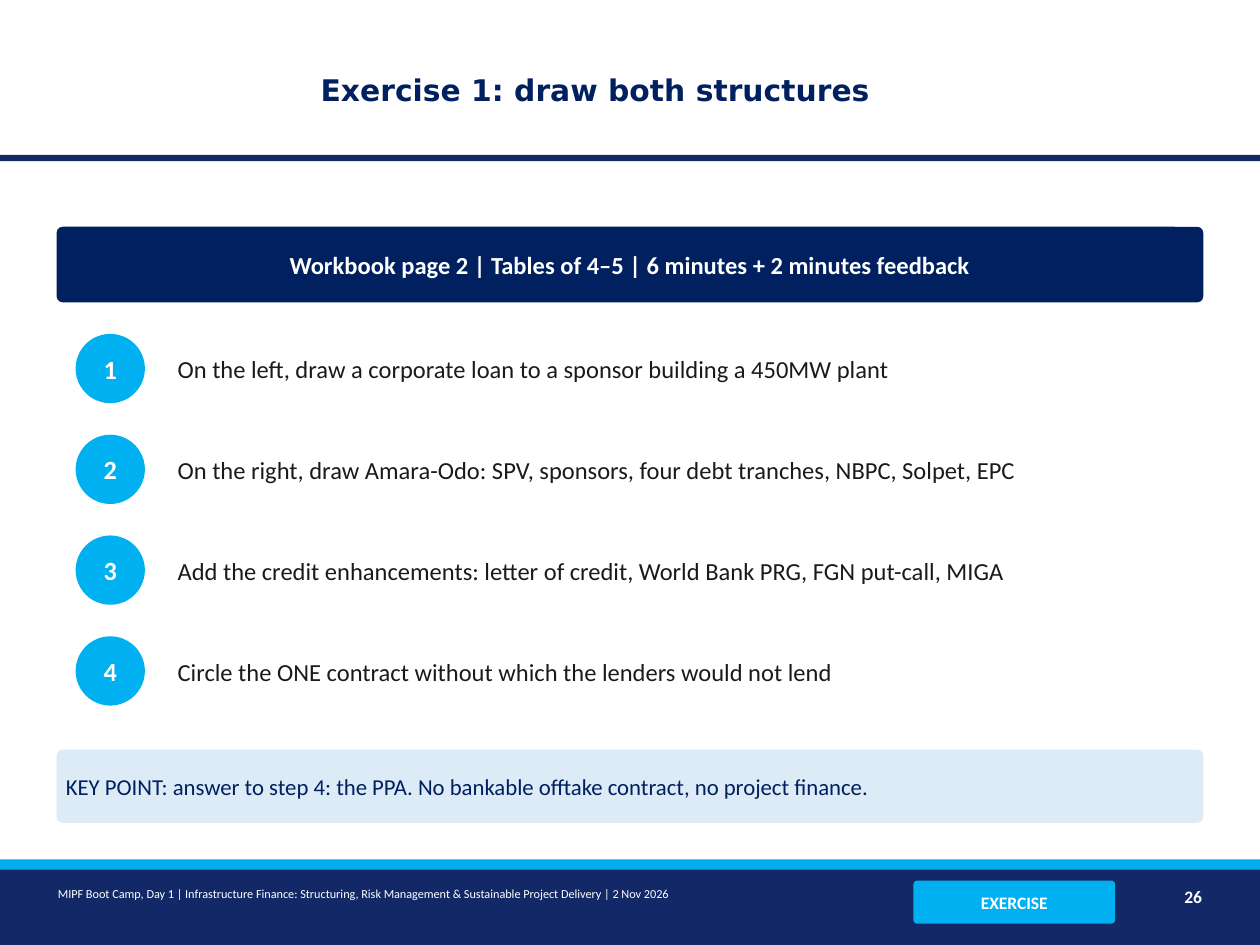
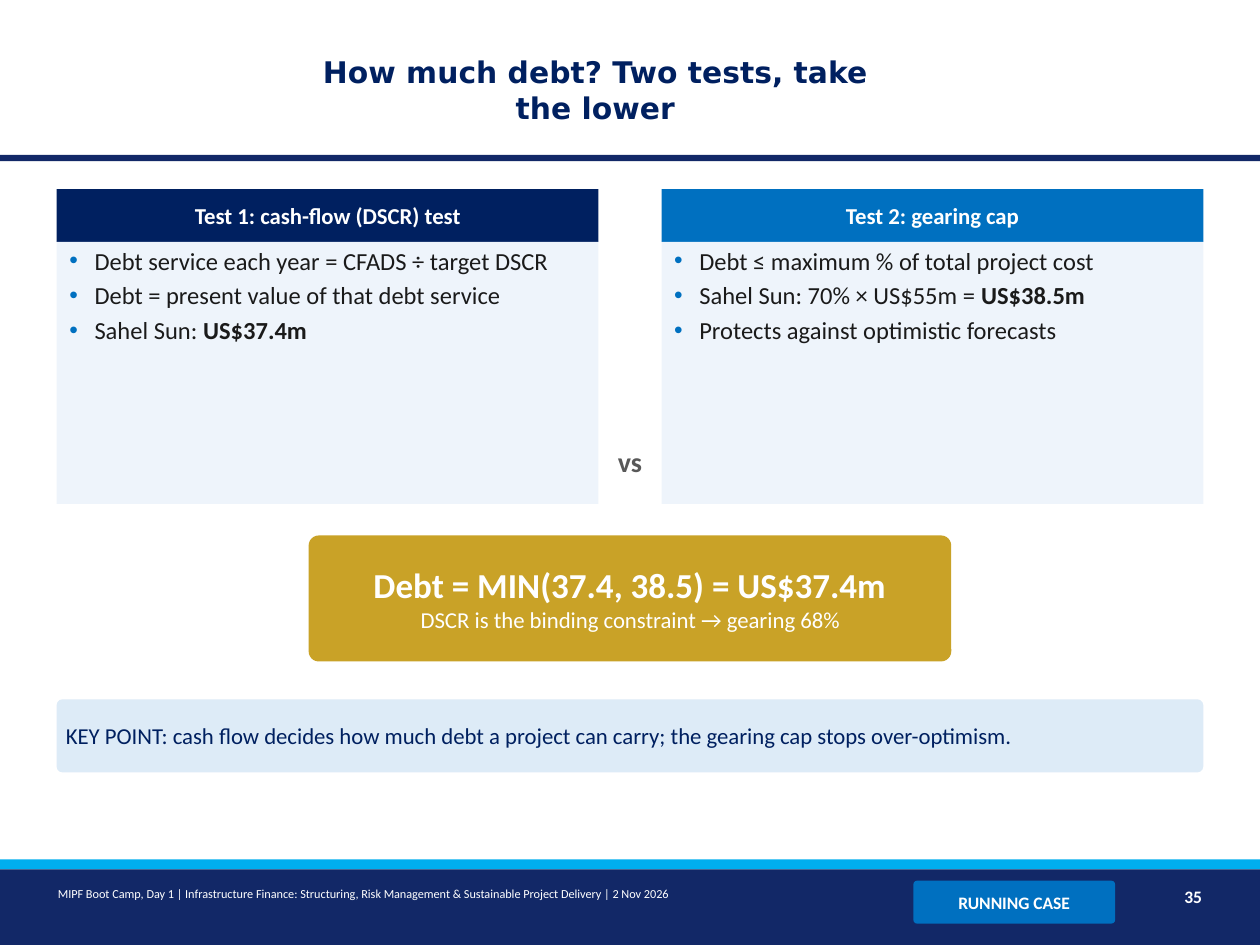
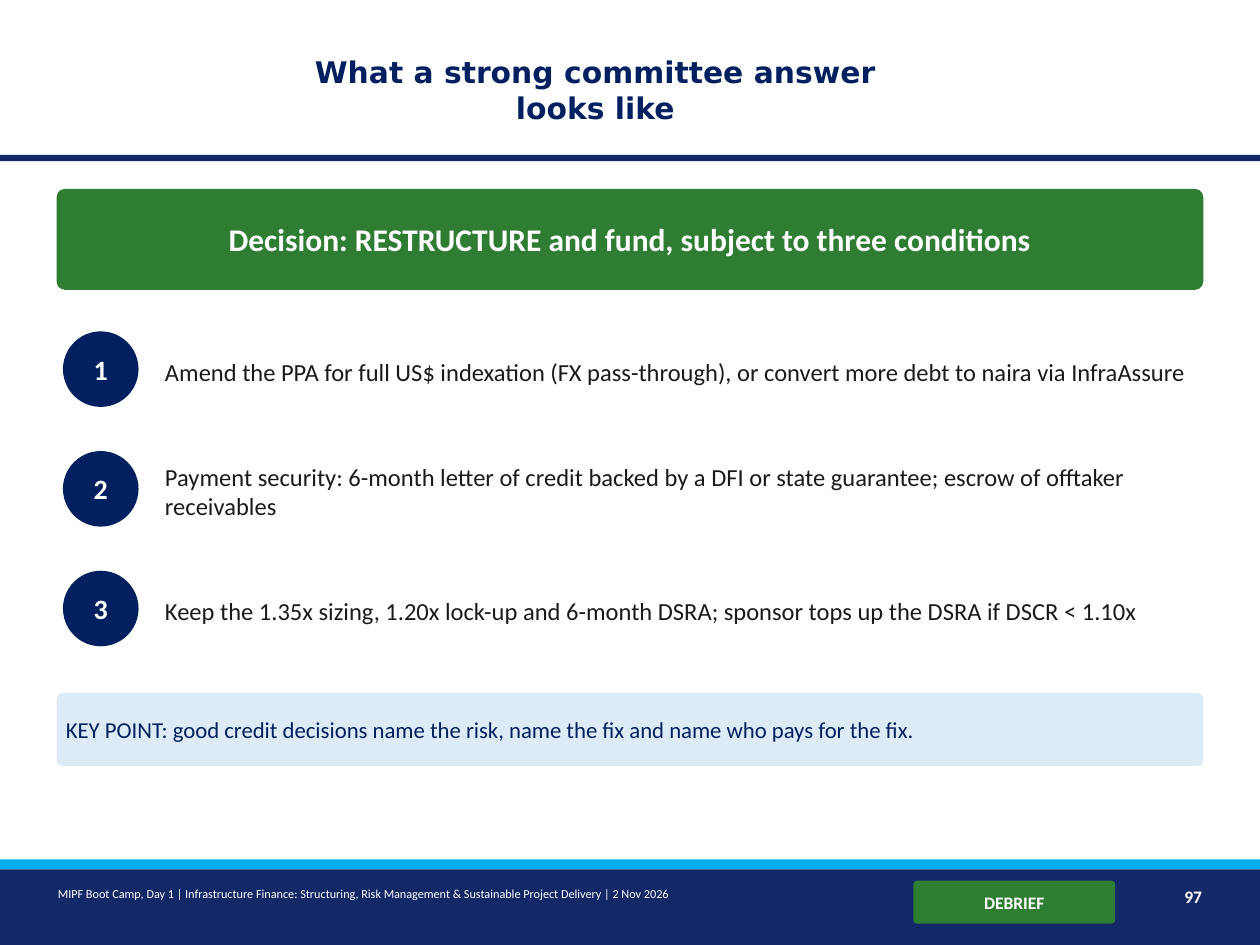
from pptx import Presentation
from pptx.dml.color import RGBColor
from pptx.enum.shapes import MSO_SHAPE
from pptx.enum.text import MSO_ANCHOR, MSO_AUTO_SIZE, PP_ALIGN
from pptx.oxml.ns import qn
from pptx.util import Pt
from lxml import etree

RECT, ROUND, OVAL = MSO_SHAPE.RECTANGLE, MSO_SHAPE.ROUNDED_RECTANGLE, MSO_SHAPE.OVAL
TOP, MIDDLE = MSO_ANCHOR.TOP, MSO_ANCHOR.MIDDLE
LEFT, CENTER, RIGHT = PP_ALIGN.LEFT, PP_ALIGN.CENTER, PP_ALIGN.RIGHT
NO_FIT = MSO_AUTO_SIZE.NONE

NAVY, BAND, CYAN, SKY, BLUE = "002060", "122867", "00AEEF", "00B0F0", "0070C0"
GREEN, GOLD, PALE, PANEL = "2E7D32", "C9A227", "DDEBF7", "EEF4FB"
WHITE, INK, GREY = "FFFFFF", "1A1A1A", "595959"

TITLE_ONLY, COMPARISON = 5, 4
WIDTH, HEIGHT = 720, 540
MARGIN = 32.4
CONTENT_WIDTH = WIDTH - 2 * MARGIN
SEPARATOR = " | "  # en spaces on both sides
FOOTER = SEPARATOR.join((
    "MIPF Boot Camp, Day 1",
    "Infrastructure Finance: Structuring, Risk Management & Sustainable Project Delivery",
    "2 Nov 2026",
))


def rgb(colour):
    return RGBColor.from_string(colour)


def place(sp, left, top, width, height):
    sp.left, sp.top, sp.width, sp.height = map(Pt, (left, top, width, height))


def fill(sp, colour):
    sp.fill.solid()
    sp.fill.fore_color.rgb = rgb(colour)
    sp.line.fill.background()


def add_bullet(p, colour):
    pPr = p._p.get_or_add_pPr()
    pPr.set("marL", str(Pt(17.28)))
    pPr.set("indent", str(-Pt(14.4)))
    clr = etree.SubElement(pPr, qn("a:buClr"))
    etree.SubElement(clr, qn("a:srgbClr")).set("val", colour)
    etree.SubElement(pPr, qn("a:buChar")).set("char", "•")


def write(tf, text, *, size, colour=WHITE, bold=False, font="Calibri", align=CENTER,
          anchor=MIDDLE, bullet=None, after=0, inset=(4.32, 2.16)):
    """Add one paragraph; a (plain, strong) pair ends in bold."""
    tf.word_wrap, tf.auto_size, tf.vertical_anchor = True, NO_FIT, anchor
    tf.margin_left = tf.margin_right = Pt(inset[0])
    tf.margin_top = tf.margin_bottom = Pt(inset[1])
    p = tf.add_paragraph() if tf.text else tf.paragraphs[0]
    if bullet:
        add_bullet(p, bullet)
    p.alignment, p.space_before, p.space_after = align, Pt(0), Pt(after)
    parts = [(text, bold)] if isinstance(text, str) else [(text[0], bold), (text[1], True)]
    for part, strong in parts:
        r = p.add_run()
        r.text = part
        r.font.name, r.font.size, r.font.bold = font, Pt(size), strong
        r.font.color.rgb = rgb(colour)


class Deck:
    def __init__(self):
        self.prs = Presentation()
        self.prs.slide_width, self.prs.slide_height = Pt(WIDTH), Pt(HEIGHT)
        self.s = None

    def shape(self, kind, box, back, text=None, **style):
        sp = self.s.shapes.add_shape(kind, *map(Pt, box))
        sp.shadow.inherit = False
        fill(sp, back)
        if kind == ROUND:
            sp.adjustments[0] = 0.08
        if text:
            write(sp.text_frame, text, **style)
        return sp

    def text(self, box, text, **style):
        sp = self.s.shapes.add_textbox(*map(Pt, box))
        write(sp.text_frame, text, **style)

    def master_bands(self):
        """Move the title rule and the footer bands to the slide master."""
        tree = self.prs.slide_master.shapes.element
        for top, height, colour in ((88.56, 3.6, BAND), (496.8, 43.2, BAND), (491.04, 5.76, CYAN)):
            tree.insert(2, self.shape(RECT, (0, top, WIDTH, height), colour).element)

    def slide(self, title, tag, tag_colour, number, layout=TITLE_ONLY):
        first = self.s is None
        self.s = self.prs.slides.add_slide(self.prs.slide_layouts[layout])
        if first:
            self.master_bands()
        sp = self.s.shapes.title
        place(sp, 165.6, 15.84, 349.2, 70.56)
        write(sp.text_frame, title, size=17, colour=NAVY, bold=True,
              font="DejaVu Sans", inset=(7.2, 3.6))
        self.shape(ROUND, (522, 503.28, 115.2, 24.48), tag_colour, tag, size=10, bold=True)
        self.text((28.8, 504, 489.6, 25.2), FOOTER, size=7, align=LEFT, anchor=TOP)
        self.text((648, 504, 43.2, 25.2), str(number), size=10, bold=True,
                  align=RIGHT, anchor=TOP)

    def banner(self, text, top, height, colour, size):
        self.shape(ROUND, (MARGIN, top, CONTENT_WIDTH, height), colour, text,
                   size=size, bold=True)

    def steps(self, items, circle, text_box, pitch, colour, size):
        """Numbered circles with a text beside each; boxes are those of the first step."""
        left, top, diameter = circle
        text_left, text_top, width, height = text_box
        for i, item in enumerate(items):
            shift = i * pitch
            self.shape(OVAL, (left, top + shift, diameter, diameter), colour,
                       str(i + 1), size=size, bold=True)
            self.text((text_left, text_top + shift, width, height), item,
                      size=14, colour=INK, align=LEFT)

    def column(self, idx, left, heading, colour, items):
        """Fill the heading placeholder idx and the list placeholder after it."""
        head, body = self.s.placeholders[idx], self.s.placeholders[idx + 1]
        place(head, left, 108, 309.6, 30.24)
        fill(head, colour)
        write(head.text_frame, heading, size=13, bold=True)
        place(body, left, 138.24, 309.6, 149.76)
        fill(body, PANEL)
        for item in items:
            write(body.text_frame, item, size=14, colour=INK, align=LEFT, anchor=TOP,
                  bullet=BLUE, after=3)

    def key_point(self, text, top):
        self.shape(ROUND, (MARGIN, top, CONTENT_WIDTH, 41.76), PALE, "KEY POINT: " + text,
                   size=13, colour=NAVY, align=LEFT)


def exercise(deck):
    deck.slide("Exercise 1: draw both structures", "EXERCISE", SKY, 26)
    deck.banner(SEPARATOR.join(("Workbook page 2", "Tables of 4–5",
                                "6 minutes + 2 minutes feedback")), 129.6, 43.2, NAVY, 14)
    deck.steps((
        "On the left, draw a corporate loan to a sponsor building a 450MW plant",
        "On the right, draw Amara-Odo: SPV, sponsors, four debt tranches, NBPC, Solpet, EPC",
        "Add the credit enhancements: letter of credit, World Bank PRG, FGN put-call, MIGA",
        "Circle the ONE contract without which the lenders would not lend",
    ), (43.2, 190.8, 39.6), (97.2, 189.36, 583.2, 43.2), 57.6, SKY, 15)
    deck.key_point("answer to step 4: the PPA. No bankable offtake contract, "
                   "no project finance.", 428.4)


def debt_tests(deck):
    deck.slide("How much debt? Two tests, take the lower", "RUNNING CASE", BLUE, 35, COMPARISON)
    deck.column(1, MARGIN, "Test 1: cash-flow (DSCR) test", NAVY, (
        "Debt service each year = CFADS ÷ target DSCR",
        "Debt = present value of that debt service",
        ("Sahel Sun: ", "US$37.4m"),
    ))
    deck.column(3, 378, "Test 2: gearing cap", BLUE, (
        "Debt ≤ maximum % of total project cost",
        ("Sahel Sun: 70% × US$55m = ", "US$38.5m"),
        "Protects against optimistic forecasts",
    ))
    result = deck.shape(ROUND, (176.4, 306, 367.2, 72), GOLD,
                        "Debt = MIN(37.4, 38.5) = US$37.4m", size=20, bold=True)
    write(result.text_frame, "DSCR is the binding constraint → gearing 68%", size=13)
    deck.text((342, 252, 36, 36), "vs", size=16, colour=GREY, bold=True, anchor=TOP)
    deck.key_point("cash flow decides how much debt a project can carry; "
                   "the gearing cap stops over-optimism.", 399.6)


def committee_answer(deck):
    deck.slide("What a strong committee answer looks like", "DEBRIEF", GREEN, 97)
    deck.banner("Decision: RESTRUCTURE and fund, subject to three conditions",
                108, 57.6, GREEN, 18)
    deck.steps((
        "Amend the PPA for full US$ indexation (FX pass-through), "
        "or convert more debt to naira via InfraAssure",
        "Payment security: 6-month letter of credit backed by a DFI or state guarantee; "
        "escrow of offtaker receivables",
        "Keep the 1.35x sizing, 1.20x lock-up and 6-month DSRA; "
        "sponsor tops up the DSRA if DSCR < 1.10x",
    ), (36, 189.36, 43.2), (90, 183.6, 597.6, 57.6), 68.4, NAVY, 16)
    deck.key_point("good credit decisions name the risk, name the fix "
                   "and name who pays for the fix.", 396)


def main():
    deck = Deck()
    exercise(deck)
    debt_tests(deck)
    committee_answer(deck)
    deck.prs.save("out.pptx")


if __name__ == "__main__":
    main()
